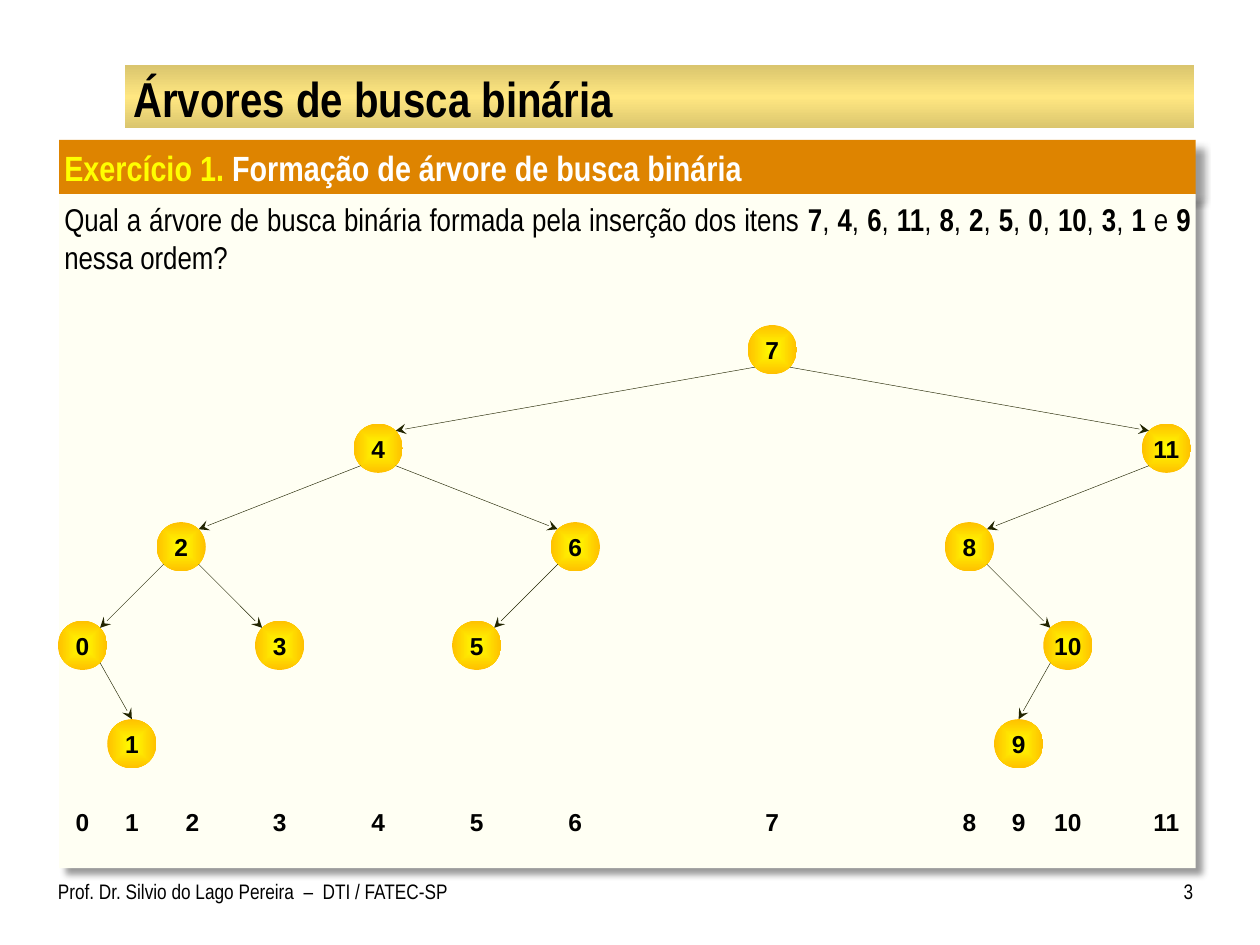
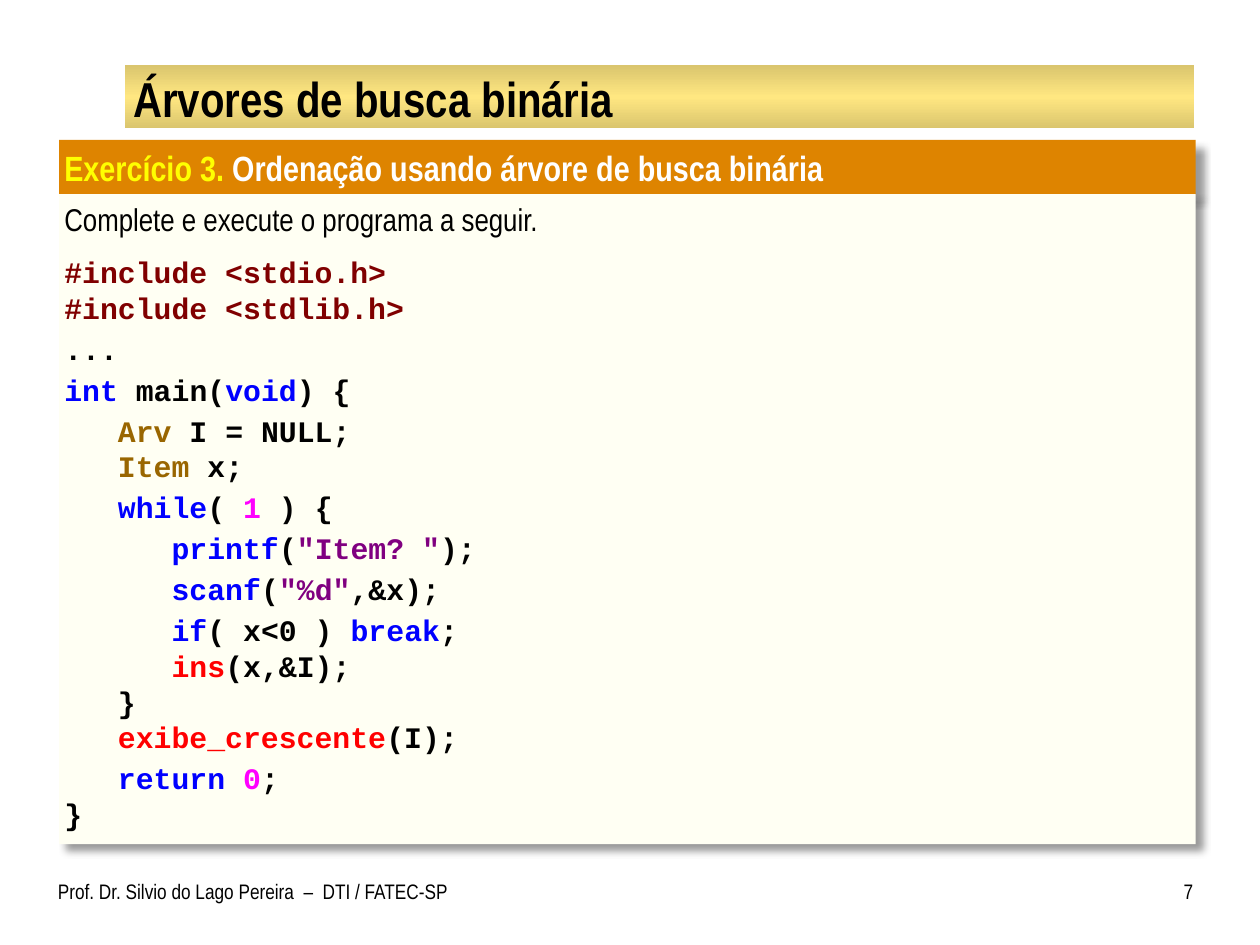
from dataclasses import dataclass
from typing import Optional

from lxml import etree
from pptx import Presentation
from pptx.dml.color import RGBColor
from pptx.enum.shapes import MSO_CONNECTOR, MSO_SHAPE
from pptx.enum.text import MSO_ANCHOR, PP_ALIGN
from pptx.oxml import parse_xml
from pptx.oxml.ns import nsdecls, qn
from pptx.util import Inches, Pt

RECTANGLE, ELLIPSE = MSO_SHAPE.RECTANGLE, MSO_SHAPE.OVAL
STRAIGHT = MSO_CONNECTOR.STRAIGHT
LEFT, CENTER, RIGHT, JUSTIFY = PP_ALIGN.LEFT, PP_ALIGN.CENTER, PP_ALIGN.RIGHT, PP_ALIGN.JUSTIFY
TOP, MIDDLE = MSO_ANCHOR.TOP, MSO_ANCHOR.MIDDLE

# Slide grid: 100 columns by 75 rows
SLIDE_WIDTH, SLIDE_HEIGHT = Inches(10), Inches(7.5)
COLUMN, ROW = SLIDE_WIDTH / 100, SLIDE_HEIGHT / 75

COLOURS = {
    "text": "000000", "white": "FFFFFF", "gold": "FFE781",
    "band": "DE8400", "number": "FFFF00", "panel": "FFFFF3",
    "node centre": "FFFF00", "node edge": "FFC000", "arrow": "222501",
    "directive": "800000", "keyword": "0000FF", "type": "996600",
    "literal": "FF00FF", "string": "800080", "call": "FF0000",
}
NARROW, SANS, CODE = "Arial Narrow", "Arial", "Courier New"

TITLE = "Árvores de busca binária"
AUTHOR = "Prof. Dr. Silvio do Lago Pereira  –  DTI / FATEC-SP"


@dataclass(frozen=True)
class Area:
    column: float
    row: float
    columns: float
    rows: float

    def lengths(self) -> tuple:
        return (round(self.column * COLUMN), round(self.row * ROW),
                round(self.columns * COLUMN), round(self.rows * ROW))


@dataclass(frozen=True)
class Span:
    text: str
    colour: str = "text"
    bold: bool = False


@dataclass(frozen=True)
class Para:
    spans: list
    size: float
    font: str = NARROW
    align: PP_ALIGN = LEFT
    before: float = 0


@dataclass
class Node:
    item: int
    depth: int
    parent: Optional["Node"] = None
    left: Optional["Node"] = None
    right: Optional["Node"] = None


# Places shared by the slides
TITLE_BAND = Area(9.9, 5.2, 84.9, 5)
TITLE_BOX = Area(10, 5.4, 84.7, 4.7)
HEADING_BAND = Area(4.7, 11.1, 90.2, 4.4)
AUTHOR_BOX = Area(4.6, 69.2, 32.7, 4.2)
NUMBER_BOX = Area(90.8, 69.2, 3.9, 4.2)

# Tree grid: nodes are one unit wide, levels are two units apart
ITEMS = [7, 4, 6, 11, 8, 2, 5, 0, 10, 3, 1, 9]
UNIT = 3.91
TREE_LEFT, TREE_TOP, ORDER_ROW = 4.6, 25.8, 63.3
ITEM_UNITS = [0, 1, 2, 4, 6, 8, 10, 14, 18, 19, 20, 22]
ORDER_UNITS = ITEM_UNITS[:2] + [2.23] + ITEM_UNITS[3:]
DIAGONAL = UNIT / 2 * 0.71

# Program lines: space before, then (text, colour) pieces
PROGRAM = [
    (9, [("#include <stdio.h>", "directive")]),
    (0, [("#include <stdlib.h>", "directive")]),
    (3, [("...", "text")]),
    (3, [("int ", "keyword"), ("main(", "text"), ("void", "keyword"), (") {", "text")]),
    (3, [("   Arv", "type"), (" I = NULL;", "text")]),
    (0, [("   Item", "type"), (" x;", "text")]),
    (3, [("   while", "keyword"), ("( ", "text"), ("1", "literal"), (" ) {", "text")]),
    (3, [("      printf", "keyword"), ("(", "text"), ('"Item? "', "string"), (");", "text")]),
    (3, [("      scanf", "keyword"), ("(", "text"), ('"%d"', "string"), (",&x);", "text")]),
    (3, [("      if", "keyword"), ("( x<0 ) ", "text"), ("break", "keyword"), (";", "text")]),
    (0, [("      ins", "call"), ("(x,&I);", "text")]),
    (0, [("   }", "text")]),
    (0, [("   exibe_crescente", "call"), ("(I);", "text")]),
    (3, [("   return ", "keyword"), ("0", "literal"), (";", "text")]),
    (0, [("}", "text")]),
]


# Text
def write(para, text: str, *, size: float, font: str, colour: str, bold: bool) -> None:
    run = para.add_run()
    run.text = text
    run.font.size, run.font.name, run.font.bold = Pt(size), font, bold
    run.font.color.rgb = RGBColor.from_string(COLOURS[colour])


def fill_frame(shape, paras: list, insets: tuple, anchor=TOP) -> None:
    frame = shape.text_frame
    frame.word_wrap = True
    frame.vertical_anchor = anchor
    (frame.margin_left, frame.margin_top,
     frame.margin_right, frame.margin_bottom) = map(Inches, insets)
    for index, content in enumerate(paras):
        para = frame.add_paragraph() if index else frame.paragraphs[0]
        para.alignment = content.align
        para.space_before = Pt(content.before)
        for span in content.spans:
            write(para, span.text, size=content.size, font=content.font,
                  colour=span.colour, bold=span.bold)


def add_text(page, area: Area, para: Para, insets: tuple, anchor=TOP) -> None:
    fill_frame(page.shapes.add_textbox(*area.lengths()), [para], insets, anchor)


# Shapes
def add_plain(page, kind, area: Area, colour: Optional[str] = None):
    shape = page.shapes.add_shape(kind, *area.lengths())
    shape.shadow.inherit = False
    shape.line.fill.background()
    if colour:
        shape.fill.solid()
        shape.fill.fore_color.rgb = RGBColor.from_string(COLOURS[colour])
    else:
        shape.fill.background()
    return shape


def set_gradient(shape, stops: list, direction: str) -> None:
    """Stops are (percent, colour, shade percent)."""
    marks = "".join(
        f'<a:gs pos="{place * 1000}"><a:srgbClr val="{COLOURS[colour]}">'
        + (f'<a:shade val="{shade * 1000}"/>' if shade < 100 else "")
        + "</a:srgbClr></a:gs>" for place, colour, shade in stops)
    gradient = parse_xml(f'<a:gradFill {nsdecls("a")} rotWithShape="1">'
                         f"<a:gsLst>{marks}</a:gsLst>{direction}</a:gradFill>")
    properties = shape._element.spPr
    properties.replace(properties.find(qn("a:noFill")), gradient)


def add_panel(page, area: Area, colour: str, paras: list, insets: tuple) -> None:
    panel = add_plain(page, RECTANGLE, area, colour)
    effects = panel._element.spPr.find(qn("a:effectLst"))
    effects.append(parse_xml(
        f'<a:outerShdw {nsdecls("a")} blurRad="{Pt(4)}" dist="{Pt(6)}" dir="2700000" '
        'algn="tl" rotWithShape="0"><a:srgbClr val="000000">'
        '<a:alpha val="40000"/></a:srgbClr></a:outerShdw>'))
    fill_frame(panel, paras, insets)


def add_arrow(page, start: tuple, end: tuple) -> None:
    ends = [round(value * step) for point in (start, end)
            for value, step in zip(point, (COLUMN, ROW))]
    arrow = page.shapes.add_connector(STRAIGHT, *ends)
    arrow.line.width = Pt(0.25)
    arrow.line.color.rgb = RGBColor.from_string(COLOURS["arrow"])
    properties = arrow._element.spPr
    etree.SubElement(properties.find(qn("a:ln")), qn("a:tailEnd"), type="stealth")
    etree.SubElement(properties, qn("a:effectLst"))


# Frame common to every slide
def add_page(deck, number: int, exercise: int, heading: str, body: list, body_rows: float):
    page = deck.slides.add_slide(deck.slide_layouts[6])
    band = add_plain(page, RECTANGLE, TITLE_BAND)
    set_gradient(band, [(0, "gold", 70), (50, "gold", 100), (100, "gold", 70)],
                 '<a:lin ang="5400000" scaled="1"/>')
    spans = [Span(f"Exercício {exercise}.", "number", True),
             Span(f" {heading}", "white", True)]
    add_panel(page, HEADING_BAND, "band", [Para(spans, 20)], (0.04, 0.05, 0.1, 0.05))
    add_panel(page, Area(4.7, 15.4, 90.2, body_rows), "panel", body,
              (0.04, 0.05, 0.04, 0.05))
    add_text(page, TITLE_BOX, Para([Span(TITLE, bold=True)], 28),
             (0.06, 0.01, 0.06, 0.01), MIDDLE)
    add_text(page, AUTHOR_BOX, Para([Span(AUTHOR)], 12), (0, 0.05, 0.1, 0.05))
    add_text(page, NUMBER_BOX, Para([Span(str(number))], 12, align=RIGHT),
             (0.1, 0.05, 0, 0.05))
    return page


# Search tree
def grow_tree(items: list) -> list:
    nodes = [Node(items[0], 0)]
    for item in items[1:]:
        place = nodes[0]
        while True:
            side = "left" if item < place.item else "right"
            child = getattr(place, side)
            if child is None:
                break
            place = child
        node = Node(item, place.depth + 1, place)
        setattr(place, side, node)
        nodes.append(node)
    return nodes


def add_item(page, item: int, units: float, row: float):
    disc = add_plain(page, ELLIPSE, Area(TREE_LEFT + units * UNIT, row, UNIT, UNIT))
    fill_frame(disc, [Para([Span(str(item), bold=True)], 14, SANS, CENTER)],
               (0, 0, 0, 0), MIDDLE)
    return disc


def node_row(node: Node) -> float:
    return TREE_TOP + node.depth * 2 * UNIT


def node_centre(node: Node) -> tuple:
    return TREE_LEFT + (ITEM_UNITS[node.item] + 0.5) * UNIT, node_row(node) + UNIT / 2


def add_branch(page, node: Node) -> None:
    parent_x, parent_y = node_centre(node.parent)
    child_x, child_y = node_centre(node)
    reach = DIAGONAL if child_x > parent_x else -DIAGONAL
    start = parent_x + reach, parent_y + DIAGONAL
    if abs(ITEM_UNITS[node.item] - ITEM_UNITS[node.parent.item]) == 1:
        end = child_x, child_y - UNIT / 2
    else:
        end = child_x - reach, child_y - DIAGONAL
    add_arrow(page, start, end)


def add_tree_page(deck) -> None:
    spans = [Span("Qual a árvore de busca binária formada pela inserção dos itens ")]
    for index, item in enumerate(ITEMS):
        if index:
            spans.append(Span(" e " if index == len(ITEMS) - 1 else ", "))
        spans.append(Span(str(item), bold=True))
    spans.append(Span(" nessa ordem?"))
    page = add_page(deck, 3, 1, "Formação de árvore de busca binária",
                    [Para(spans, 18, align=JUSTIFY)], 53.5)
    for node in grow_tree(ITEMS):
        if node.parent:
            add_branch(page, node)
        disc = add_item(page, node.item, ITEM_UNITS[node.item], node_row(node))
        set_gradient(disc, [(0, "node centre", 100), (100, "node edge", 100)],
                     '<a:path path="shape"><a:fillToRect l="50000" t="50000" '
                     'r="50000" b="50000"/></a:path>')
    for item, units in enumerate(ORDER_UNITS):
        add_item(page, item, units, ORDER_ROW)


def add_program_page(deck) -> None:
    body = [Para([Span("Complete e execute o programa a seguir.")], 18, align=JUSTIFY)]
    for before, pieces in PROGRAM:
        spans = [Span(text, colour, True) for text, colour in pieces]
        body.append(Para(spans, 17, CODE, before=before))
    add_page(deck, 7, 3, "Ordenação usando árvore de busca binária", body, 51.6)


def main() -> None:
    deck = Presentation()
    deck.slide_width, deck.slide_height = SLIDE_WIDTH, SLIDE_HEIGHT
    add_tree_page(deck)
    add_program_page(deck)
    deck.save("out.pptx")


if __name__ == "__main__":
    main()
